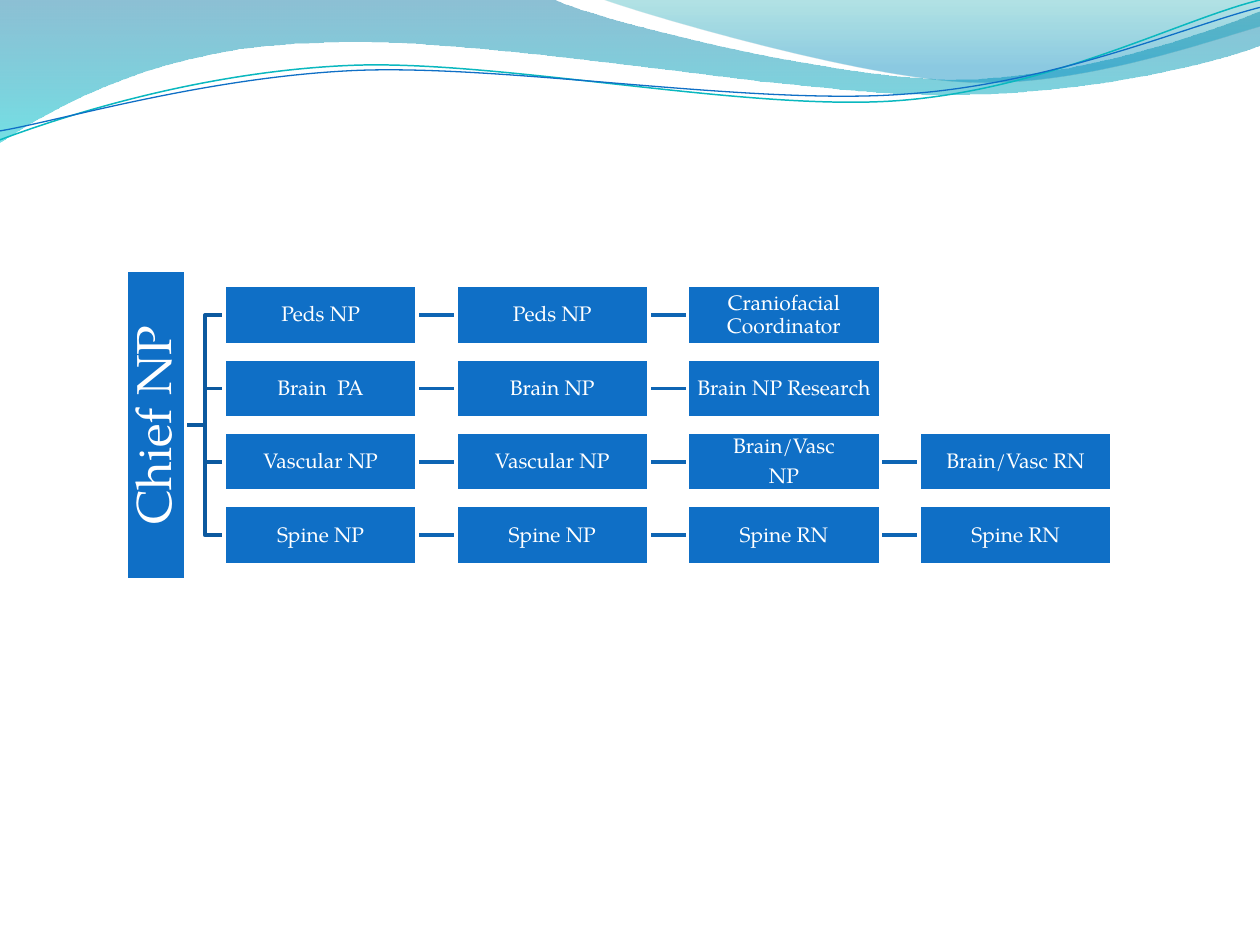
from dataclasses import dataclass

from lxml.etree import SubElement
from pptx import Presentation
from pptx.dml.color import RGBColor
from pptx.enum.shapes import MSO_CONNECTOR, MSO_SHAPE
from pptx.enum.text import MSO_ANCHOR, PP_ALIGN
from pptx.oxml.ns import qn
from pptx.util import Cm, Pt


@dataclass(frozen=True)
class Theme:
    font: str = "TeX Gyre Pagella"
    box: str = "0F6FC6"
    text: str = "FFFFFF"
    branch: str = "0C599F"
    link: str = "0E65B4"
    teal_wave: str = "0AB8BF"
    band: tuple = ((0, "0074A1", 45), (1, "00C6CF", 55))
    sheen: tuple = ((0, "00A1A9", 30), (0.8, "008BBF", 45))
    chief_size: int = 28
    staff_size: int = 12
    line_width: int = 2


THEME = Theme()

SLIDE_WIDTH, SLIDE_HEIGHT = 25.4, 19.05
BOX_WIDTH, BOX_HEIGHT, GAP = 3.89, 1.19, 0.78
GRID_LEFT, FIRST_ROW_CENTRE, ROW_PITCH = 4.52, 6.35, 1.48
CHIEF_LENGTH = 6.25

TEAMS = [
    ["Peds NP", "Peds NP", "Craniofacial Coordinator"],
    ["Brain  PA", "Brain NP", "Brain NP Research"],
    ["Vascular NP", "Vascular NP", "Brain/Vasc\nNP", "Brain/Vasc RN"],
    ["Spine NP", "Spine NP", "Spine RN", "Spine RN"],
]

BAND = [
    (0, 0),
    ((11.18, 0),),
    ((12.09, 0.43), (16.87, 1.6), (19.25, 1.6)),
    ((21.67, 1.6), (24.33, 0.66), (25.4, 0.23)),
    ((25.4, 0.91),),
    ((24.97, 1.12), (22.1, 1.93), (18.95, 1.91)),
    ((15.8, 1.91), (9.7, 0.71), (6.53, 0.86)),
    ((3.28, 0.91), (1.17, 2.11), (0, 2.87)),
]
SHEEN = [
    (12.17, 0),
    ((12.93, 0.28), (17.32, 1.57), (19.53, 1.65)),
    ((21.74, 1.75), (24.41, 0.81), (25.4, 0.53)),
    ((25.4, 0),),
]
TEAL_WAVE = [
    (0, 2.82),
    ((1.22, 2.36), (4.01, 1.45), (7.04, 1.32)),
    ((10.03, 1.19), (15.06, 2.26), (18.11, 2.03)),
    ((21.16, 1.8), (23.83, 0.38), (25.4, 0)),
]
BLUE_WAVE = [
    (0, 2.64),
    ((1.19, 2.44), (4.17, 1.55), (7.19, 1.42)),
    ((10.24, 1.3), (15.16, 2.13), (18.21, 1.9)),
    ((21.23, 1.7), (23.9, 0.53), (25.4, 0.15)),
]


def rgb(color):
    return RGBColor.from_string(color)


def bend_segments(shape, segments):
    steps = list(shape.element.spPr.iter(qn("a:lnTo")))
    for step, (*controls, _) in zip(steps, segments):
        if controls:
            step.tag = qn("a:cubicBezTo")
        for index, (x, y) in enumerate(controls):
            control = SubElement(
                step, qn("a:pt"), x=str(Cm(x) - shape.left), y=str(Cm(y) - shape.top)
            )
            step.insert(index, control)


def add_outline(slide, outline, closed):
    start, *segments = outline
    builder = slide.shapes.build_freeform(*map(Cm, start))
    builder.add_line_segments(
        [(Cm(x), Cm(y)) for *_, (x, y) in segments], close=closed
    )
    shape = builder.convert_to_shape()
    bend_segments(shape, segments)
    shape.shadow.inherit = False
    return shape


def add_gradient_wave(slide, outline, stops):
    wave = add_outline(slide, outline, closed=True)
    wave.line.fill.background()
    wave.fill.gradient()
    wave.fill.gradient_angle = 270
    for stop, (position, color, _) in zip(wave.fill.gradient_stops, stops):
        stop.position = position
        stop.color.rgb = rgb(color)
    for tint, (_, _, opacity) in zip(wave.element.spPr.iter(qn("a:srgbClr")), stops):
        SubElement(tint, qn("a:alpha"), val=str(opacity * 1000))


def add_line_wave(slide, outline, color, width):
    wave = add_outline(slide, outline, closed=False)
    wave.fill.background()
    wave.line.color.rgb = rgb(color)
    wave.line.width = Pt(width)


def add_link(slide, start, end, color):
    link = slide.shapes.add_connector(MSO_CONNECTOR.ELBOW, *map(Cm, start + end))
    link.line.color.rgb = rgb(color)
    link.line.width = Pt(THEME.line_width)
    SubElement(link.element.spPr, qn("a:effectLst"))


def add_role(slide, role, centre, width, size, inset, rotation=0):
    x, y = centre
    box = slide.shapes.add_shape(
        MSO_SHAPE.RECTANGLE,
        Cm(x - width / 2), Cm(y - BOX_HEIGHT / 2), Cm(width), Cm(BOX_HEIGHT),
    )
    box.rotation = rotation
    box.shadow.inherit = False
    box.fill.solid()
    box.fill.fore_color.rgb = rgb(THEME.box)
    box.line.color.rgb = rgb(THEME.text)
    box.line.width = Pt(THEME.line_width)
    frame = box.text_frame
    frame.text = role
    frame.word_wrap = True
    frame.vertical_anchor = MSO_ANCHOR.MIDDLE
    frame.margin_left = frame.margin_right = Cm(inset)
    frame.margin_top = frame.margin_bottom = Cm(inset)
    for paragraph in frame.paragraphs:
        paragraph.alignment = PP_ALIGN.CENTER
        paragraph.line_spacing = 0.9
        paragraph.space_after = Pt(0.35 * size)
        for run in paragraph.runs:
            run.font.name = THEME.font
            run.font.size = Pt(size)
            run.font.color.rgb = rgb(THEME.text)


def add_waves(slide):
    add_gradient_wave(slide, BAND, THEME.band)
    add_gradient_wave(slide, SHEEN, THEME.sheen)
    add_line_wave(slide, TEAL_WAVE, THEME.teal_wave, 0.85)
    add_line_wave(slide, BLUE_WAVE, THEME.box, 0.75)


def add_organisation(slide):
    row_centres = [FIRST_ROW_CENTRE + i * ROW_PITCH for i in range(len(TEAMS))]
    middle = sum(row_centres) / len(row_centres)
    chief_right = GRID_LEFT - GAP

    for team, y in zip(TEAMS, row_centres):
        add_link(slide, (chief_right, middle), (GRID_LEFT, y), THEME.branch)
        for column in range(1, len(team)):
            right = GRID_LEFT + column * (BOX_WIDTH + GAP)
            add_link(slide, (right - GAP, y), (right, y), THEME.link)

    chief_centre = (chief_right - BOX_HEIGHT / 2, middle)
    add_role(slide, "Chief NP", chief_centre, CHIEF_LENGTH, THEME.chief_size, 0.05, 270)
    for team, y in zip(TEAMS, row_centres):
        for column, role in enumerate(team):
            x = GRID_LEFT + column * (BOX_WIDTH + GAP) + BOX_WIDTH / 2
            add_role(slide, role, (x, y), BOX_WIDTH, THEME.staff_size, 0.03)


def main():
    deck = Presentation()
    deck.slide_width, deck.slide_height = Cm(SLIDE_WIDTH), Cm(SLIDE_HEIGHT)
    slide = deck.slides.add_slide(deck.slide_layouts[6])
    add_waves(slide)
    add_organisation(slide)
    deck.save("out.pptx")


if __name__ == "__main__":
    main()
